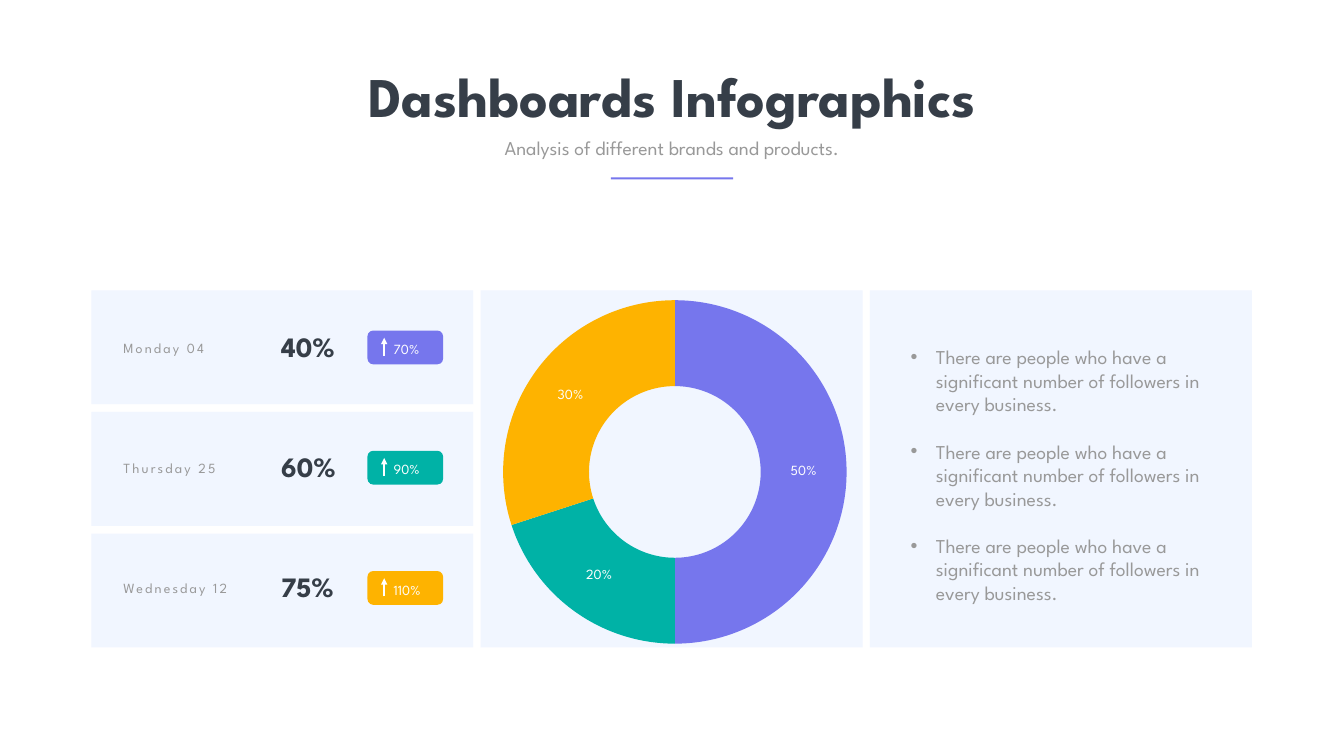
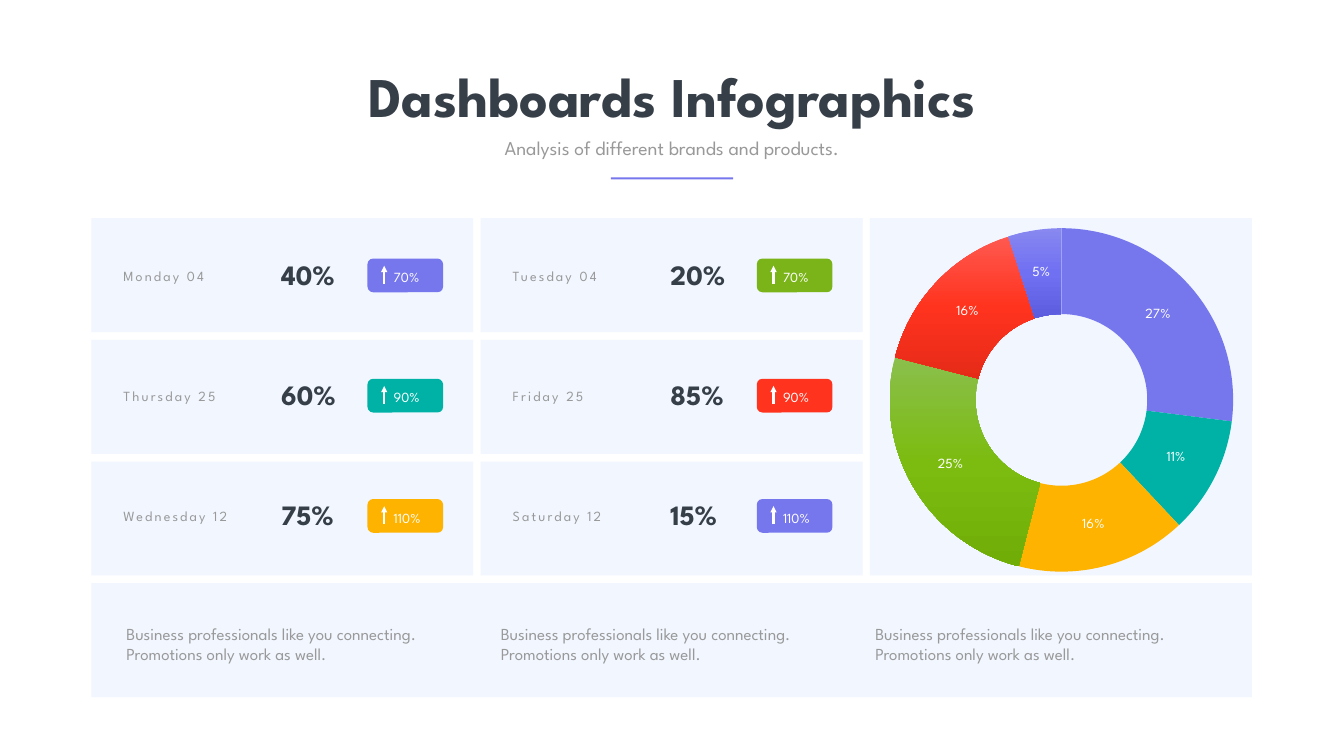
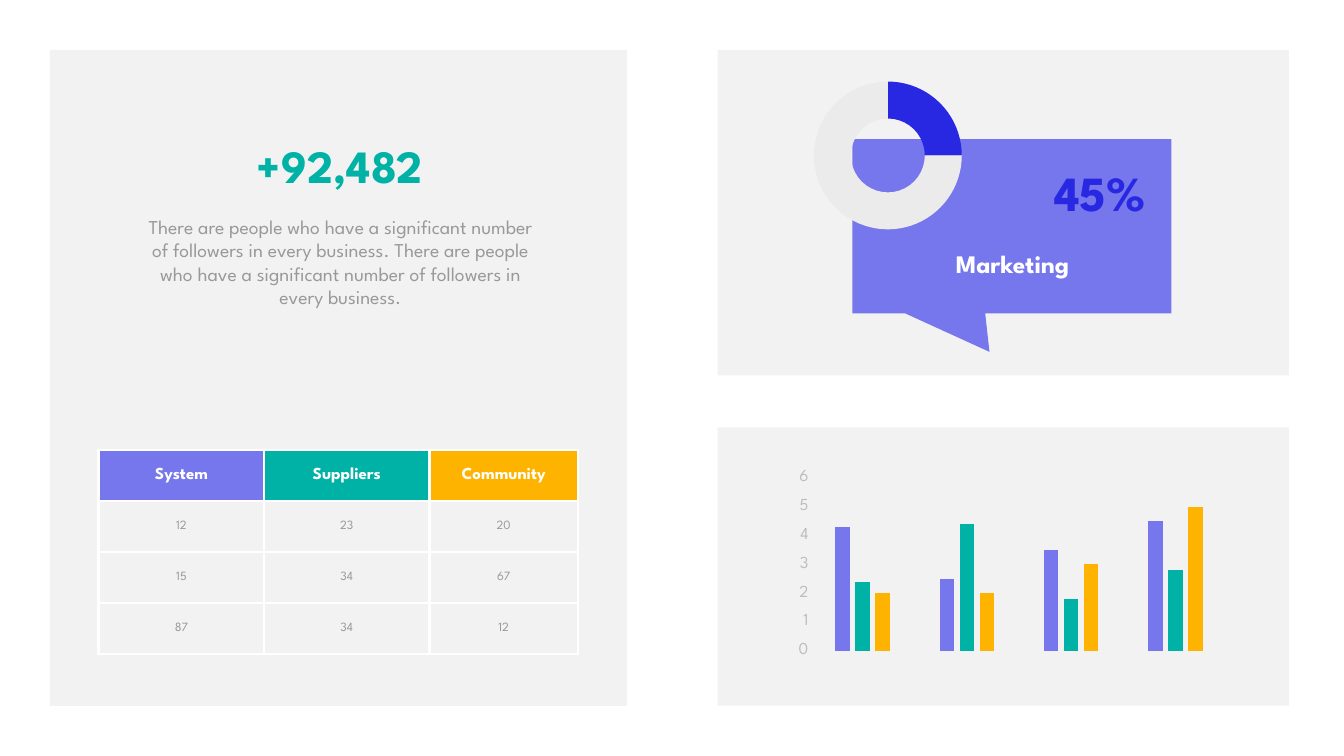
from lxml import etree
from pptx import Presentation
from pptx import util as u
from pptx.chart.data import CategoryChartData
from pptx.dml.color import RGBColor
from pptx.enum import chart as charts, dml, shapes, text
from pptx.oxml import parse_xml
from pptx.oxml.ns import nsdecls, qn

# ---------- Content ----------
COLORS = {
    "ink": "363E48", "grey": "999999", "axis": "BDBDBD", "white": "FFFFFF",
    "card": "EEF4FF", "panel": "F2F2F2", "ring": "EBEBEB",
    "violet": "7676ED", "teal": "00B2A6", "amber": "FEB300",
    "green": "7AB418", "red": "FF331E", "blue": "2828E3",
}
GRADIENTS = {
    "green fade": ("8ABF4D", "7CBC10", "70AE07"),
    "red fade": ("FF5950", "FF331E", "E52B18"),
    "violet fade": ("8888F0", "7070F3", "5C5CDF"),
}
FONT = "League Spartan"
TITLE = "Dashboards Infographics"
SUBTITLE = "Analysis of different brands and products."
FOLLOWERS = "There are people who have a significant number of followers in every business."
FOOTNOTE = "Business professionals like you connecting. Promotions only work as well."

FIRST_DAYS = [
    ("Monday 04", "40%", "70%", "violet"),
    ("Thursday 25", "60%", "90%", "teal"),
    ("Wednesday 12", "75%", "110%", "amber"),
]
SECOND_DAYS = [
    ("Tuesday 04", "20%", "70%", "green"),
    ("Friday 25", "85%", "90%", "red"),
    ("Saturday 12", "15%", "110%", "violet"),
]
THREE_SHARES = [(50, "violet"), (20, "teal"), (30, "amber")]
SIX_SHARES = [(27, "violet"), (11, "teal"), (16, "amber"),
              (25, "green fade"), (16, "red fade"), (5, "violet fade")]
MARKETING_SHARES = [(25, "blue"), (75, "ring")]
TABLE_ROWS = [
    ("System", "Suppliers", "Community"),
    ("12", "23", "20"),
    ("15", "34", "67"),
    ("87", "34", "12"),
]
TABLE_WIDTHS = (8.33, 8.33, 7.49)
ACCENTS = ("violet", "teal", "amber")
BAR_SERIES = [(4.3, 2.5, 3.5, 4.5), (2.4, 4.4, 1.8, 2.8), (2, 2, 3, 5)]

# ---------- Shared grid, in cm ----------
LEFT, CARD_W, CARD_H = 4.6, 19.25, 5.74
COLUMN_STEP, ROW_STEP = 19.62, 6.13
STAT_STEP = 6.06
TALL_H = 2 * ROW_STEP + CARD_H
FULL_W = 2 * COLUMN_STEP + CARD_W
DAY_WIDTHS = (6.55, 6.55, 8.13)


# ---------- Helpers ----------
def rgb(name):
    return RGBColor.from_string(COLORS[name])


def cm(box):
    return [u.Cm(length) for length in box]


def set_font(font, size, color, bold=False):
    font.name, font.size, font.bold = FONT, u.Pt(size), bold
    font.color.rgb = rgb(color)


def write(frame, paragraphs, size=28, color="grey", bold=False, align="LEFT",
          tracking=0, bullet=False, gap=0):
    for i, words in enumerate(paragraphs):
        paragraph = frame.paragraphs[0] if i == 0 else frame.add_paragraph()
        props = paragraph._p.get_or_add_pPr()
        indent = u.Cm(1.27) if bullet else 0
        props.set("marL", str(indent))
        props.set("indent", str(-indent))
        mark = etree.SubElement(props, qn("a:buChar" if bullet else "a:buNone"))
        if bullet:
            mark.set("char", "•")
        paragraph.alignment = getattr(text.PP_ALIGN, align)
        paragraph.space_before = u.Pt(gap if i else 0)
        run = paragraph.add_run()
        run.text = words
        set_font(run.font, size, color, bold)
        if tracking:
            run._r.get_or_add_rPr().set("spc", str(tracking * 100))


def add_text(slide, box, *paragraphs, holder=None, wrap=True, **style):
    if holder is None:
        holder = slide.shapes.add_textbox(*cm(box))
    else:
        holder.left, holder.top, holder.width, holder.height = cm(box)
        slide.shapes.element.append(holder.element)  # bring to the front
    frame = holder.text_frame
    frame.word_wrap = wrap
    frame.auto_size = text.MSO_AUTO_SIZE.SHAPE_TO_FIT_TEXT
    frame.vertical_anchor = text.MSO_ANCHOR.TOP
    write(frame, paragraphs, **style)


def add_block(slide, box, color, kind="RECTANGLE", opacity=100):
    block = slide.shapes.add_shape(getattr(shapes.MSO_SHAPE, kind), *cm(box))
    block.shadow.inherit = False
    block.fill.solid()
    block.fill.fore_color.rgb = rgb(color)
    block.line.fill.background()
    if opacity < 100:
        tint = block.element.spPr.find(qn("a:solidFill"))[0]
        etree.SubElement(tint, qn("a:alpha")).set("val", str(opacity * 1000))
    return block


def add_card(slide, x, y, width=CARD_W, height=CARD_H):
    add_block(slide, (x, y, width, height), "card", opacity=80)


def add_up_arrow(slide, x, bottom, top):
    arrow = slide.shapes.add_connector(
        shapes.MSO_CONNECTOR.STRAIGHT, *cm((x, bottom, x, top)))
    arrow.line.color.rgb = rgb("white")
    arrow.line.width = u.Pt(3)
    line = arrow.element.spPr.find(qn("a:ln"))
    etree.SubElement(line, qn("a:tailEnd")).set("type", "triangle")
    etree.SubElement(arrow.element.spPr, qn("a:effectLst"))


def add_heading(slide):
    add_text(slide, (16.38, 2.97, 34.98, 3.68), TITLE, holder=slide.shapes.title,
             wrap=False, size=80, color="ink", bold=True, align="CENTER")
    add_text(slide, (21.72, 6.73, 24.28, 1.45), SUBTITLE, align="CENTER")
    add_block(slide, (30.78, 8.94, 6.17, 0.1), "violet")


def add_days(slide, x, top, days):
    for row, (day, share, growth, color) in enumerate(days):
        add_card(slide, x, top + row * ROW_STEP)
        y = top + row * STAT_STEP
        add_text(slide, (x + 9.32, y + 1.83, 3.81, 1.96), share,
                 size=40, color="ink", bold=True)
        add_text(slide, (x + 1.37, y + 2.34, DAY_WIDTHS[row], 1.12), day,
                 size=20, tracking=3)
        add_block(slide, (x + 13.92, y + 2.03, 3.81, 1.7), color, "ROUNDED_RECTANGLE")
        add_text(slide, (x + 14.99, y + 2.41, 2.44, 1.12), growth,
                 size=20, color="white")
        add_up_arrow(slide, x + 14.76, y + 3.3, y + 2.39)


def add_chart(slide, box, kind, categories, series):
    data = CategoryChartData()
    data.categories = [str(i + 1) for i in range(categories)]
    for i, values in enumerate(series, 1):
        data.add_series(f"Series {i}", values)
    chart = slide.shapes.add_chart(
        getattr(charts.XL_CHART_TYPE, kind), *cm(box), data).chart
    chart.has_legend = chart.has_title = False
    return chart


def fade(chart, index, stops):
    props = chart.element.xpath(".//c:dPt")[index].find(qn("c:spPr"))
    props.remove(props.find(qn("a:solidFill")))
    marks = "".join(f'<a:gs pos="{i * 50000}"><a:srgbClr val="{stop}"/></a:gs>'
                    for i, stop in enumerate(stops))
    props.insert(0, parse_xml(
        f'<a:gradFill {nsdecls("a")}><a:gsLst>{marks}</a:gsLst>'
        '<a:lin ang="5400000" scaled="0"/></a:gradFill>'))


def add_doughnut(slide, box, shares, labels=True):
    chart = add_chart(slide, box, "DOUGHNUT", len(shares), [[v for v, _ in shares]])
    set_font(chart.font, 20, "white")
    plot = chart.plots[0]
    plot.vary_by_categories = True
    chart.element.xpath(".//c:holeSize")[0].set("val", "75")
    plot.has_data_labels = labels
    if labels:
        tags = plot.data_labels
        tags.show_percentage, tags.show_value = True, False
        tags.number_format, tags.number_format_is_linked = "0%", False
        set_font(tags.font, 20, "white")
    for i, (_, color) in enumerate(shares):
        look = plot.series[0].points[i].format
        look.fill.solid()
        look.line.fill.background()
        if color in GRADIENTS:
            fade(chart, i, GRADIENTS[color])
        else:
            look.fill.fore_color.rgb = rgb(color)


def add_bars(slide, box):
    chart = add_chart(slide, box, "COLUMN_CLUSTERED", 4, BAR_SERIES)
    set_font(chart.font, 24, "grey")
    plot = chart.plots[0]
    plot.vary_by_categories = False
    plot.gap_width, plot.overlap = 350, -40
    for series, color in zip(plot.series, ACCENTS):
        series.format.fill.solid()
        series.format.fill.fore_color.rgb = rgb(color)
    chart.category_axis.visible = False
    axis = chart.value_axis
    axis.minimum_scale, axis.maximum_scale, axis.major_unit = 0, 6, 1
    axis.major_tick_mark = axis.minor_tick_mark = charts.XL_TICK_MARK.NONE
    axis.format.line.fill.background()
    set_font(axis.tick_labels.font, 24, "axis")
    grid = axis.major_gridlines.format.line
    grid.color.rgb, grid.width = rgb("panel"), u.Pt(0.75)
    grid.dash_style = dml.MSO_LINE.LONG_DASH
    # Fixed inner plot area
    area = chart.element.xpath(".//c:plotArea")[0]
    for old in area.findall(qn("c:layout")):
        area.remove(old)
    sizes = "".join(f'<c:{key} val="{value}"/>' for key, value in
                    (("x", 0.07), ("y", 0.15), ("w", 0.88), ("h", 0.67)))
    area.insert(0, parse_xml(
        f'<c:layout {nsdecls("c")}><c:manualLayout><c:layoutTarget val="inner"/>'
        f'<c:xMode val="edge"/><c:yMode val="edge"/>{sizes}</c:manualLayout></c:layout>'))


def add_borders(cell):
    props = cell._tc.get_or_add_tcPr()
    for i, side in enumerate(("lnL", "lnR", "lnT", "lnB")):
        props.insert(i, parse_xml(
            f'<a:{side} {nsdecls("a")} w="{u.Pt(4.5)}"><a:solidFill>'
            f'<a:srgbClr val="{COLORS["white"]}"/></a:solidFill></a:{side}>'))


def add_figures(slide, box):
    table = slide.shapes.add_table(len(TABLE_ROWS), len(TABLE_WIDTHS), *cm(box)).table
    table.first_row = table.horz_banding = False
    for column, width in zip(table.columns, TABLE_WIDTHS):
        column.width = u.Cm(width)
    for r, row in enumerate(TABLE_ROWS):
        table.rows[r].height = u.Cm(2.57)
        for c, words in enumerate(row):
            cell = table.cell(r, c)
            cell.vertical_anchor = text.MSO_ANCHOR.MIDDLE
            cell.fill.solid()
            cell.fill.fore_color.rgb = rgb("panel" if r else ACCENTS[c])
            write(cell.text_frame, [words], size=18 if r else 24, bold=r == 0,
                  color="grey" if r else "white", align="CENTER")
            add_borders(cell)


# ---------- Slides ----------
def build_bullet_dashboard(deck):
    slide = deck.slides.add_slide(deck.slide_layouts[1])
    top = 14.63
    add_heading(slide)
    add_days(slide, LEFT, top, FIRST_DAYS)
    for column in (1, 2):
        add_card(slide, LEFT + column * COLUMN_STEP, top, height=TALL_H)
    add_doughnut(slide, (24.08, top + 0.15, 19.86, 18.01), THREE_SHARES)
    add_text(slide, (45.64, 17.27, 15.67, 13.41), *[FOLLOWERS] * 3,
             holder=slide.placeholders[1], bullet=True, gap=33.8)


def build_week_dashboard(deck):
    slide = deck.slides.add_slide(deck.slide_layouts[5])
    top = 11
    add_heading(slide)
    for column, days in enumerate((FIRST_DAYS, SECOND_DAYS)):
        add_days(slide, LEFT + column * COLUMN_STEP, top, days)
    add_card(slide, LEFT + 2 * COLUMN_STEP, top, height=TALL_H)
    add_card(slide, LEFT, top + 3 * ROW_STEP, width=FULL_W)
    add_doughnut(slide, (43.56, top + 0.15, 19.86, 18.01), SIX_SHARES)
    for column in range(3):
        add_text(slide, (6.12 + column * 18.87, 31.32, 17.73, 2.31), FOOTNOTE, size=24)


def build_marketing_dashboard(deck):
    slide = deck.slides.add_slide(deck.slide_layouts[1])
    for panel in ((36.17, 2.51, 28.78, 16.41), (36.17, 21.54, 28.78, 14.02),
                  (2.51, 2.51, 29.08, 33.07)):
        add_block(slide, panel, "panel")
    # Speech bubble with its share ring
    bubble = add_block(slide, (42.95, 7.01, 16.08, 8.79), "violet",
                       "RECTANGULAR_CALLOUT")
    bubble.adjustments[0], bubble.adjustments[1] = -0.07, 0.72
    add_text(slide, (45.49, 12.37, 11.07, 1.8), "Marketing",
             size=36, color="white", bold=True, align="CENTER")
    add_text(slide, (50.8, 8.08, 7.16, 3.25), "45%",
             size=70, color="blue", bold=True, align="RIGHT")
    add_doughnut(slide, (40.54, 3.76, 8.41, 8.15), MARKETING_SHARES, labels=False)
    # Headline figure, table and bars
    add_figures(slide, (4.98, 22.68, 24.15, 10.28))
    add_text(slide, (6.81, 10.69, 20.68, 6.25), f"{FOLLOWERS} {FOLLOWERS}",
             holder=slide.placeholders[1], align="CENTER")
    add_text(slide, (12.55, 6.81, 9.17, 3.07), "+92,482", holder=slide.shapes.title,
             wrap=False, size=66, color="teal", bold=True, align="CENTER")
    add_bars(slide, (39.17, 22.12, 23.9, 13.03))


def main():
    deck = Presentation()
    deck.slide_width, deck.slide_height = u.Cm(67.73), u.Cm(38.1)
    build_bullet_dashboard(deck)
    build_week_dashboard(deck)
    build_marketing_dashboard(deck)
    deck.save("out.pptx")


if __name__ == "__main__":
    main()
